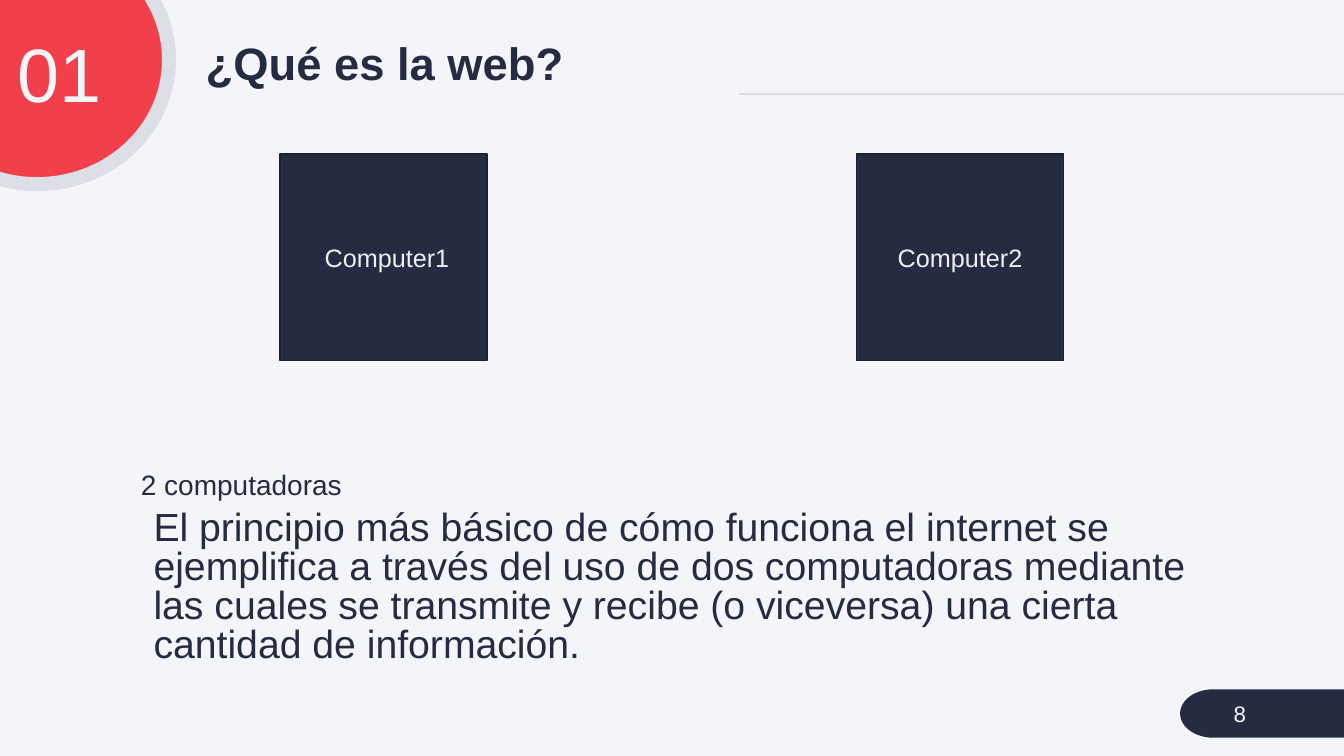
from collections import namedtuple

from lxml import etree
from pptx import Presentation
from pptx.dml.color import RGBColor
from pptx.enum.shapes import MSO_CONNECTOR, MSO_SHAPE
from pptx.enum.text import MSO_ANCHOR, MSO_AUTO_SIZE, PP_ALIGN
from pptx.oxml.ns import qn
from pptx.util import Cm, Pt

STRAIGHT = MSO_CONNECTOR.STRAIGHT
OVAL, SQUARE, PILL = MSO_SHAPE.OVAL, MSO_SHAPE.RECTANGLE, MSO_SHAPE.FLOWCHART_TERMINATOR
TOP, MIDDLE = MSO_ANCHOR.TOP, MSO_ANCHOR.MIDDLE
LEFT, CENTER, RIGHT = PP_ALIGN.LEFT, PP_ALIGN.CENTER, PP_ALIGN.RIGHT
NO_AUTOFIT = MSO_AUTO_SIZE.NONE
TITLE_ONLY = 5
FONT = "Arial"
COLORS = {
    "paper": "F4F5F9",
    "navy": "252C41",
    "edge": "1B202F",
    "red": "F1404B",
    "grey": "DDDFE6",
    "label": "EEEFF3",
}

# All measures are in centimetres.
Box = namedtuple("Box", "left top width height")


def color(name):
    """Return a named colour."""
    return RGBColor.from_string(COLORS[name])


def inside(box, left, top, width, height):
    """Return a box placed relative to the corner of another one."""
    return Box(box.left + left, box.top + top, width, height)


def lengths(box):
    """Convert a box to slide lengths."""
    return [Cm(value) for value in box]


def style_para(para, text, size, ink, align=LEFT, spacing=1.0, bold=False):
    """Fill and format one paragraph."""
    para.text = text
    para.alignment = align
    para.line_spacing = spacing
    para.font.name = FONT
    para.font.size = Pt(size)
    para.font.bold = bold
    para.font.color.rgb = color(ink)


def add_text_box(page, box, anchor=TOP):
    """Add an empty wrapping text box and return its frame."""
    frame = page.shapes.add_textbox(*lengths(box)).text_frame
    frame.word_wrap = True
    frame.vertical_anchor = anchor
    return frame


def add_filled(page, kind, box, fill, edge=None, weight=0):
    """Add a flat preset shape, with an outline if one is named."""
    shape = page.shapes.add_shape(kind, *lengths(box))
    shape.shadow.inherit = False
    shape.fill.solid()
    shape.fill.fore_color.rgb = color(fill)
    if edge:
        shape.line.color.rgb = color(edge)
        shape.line.width = Pt(weight)
    else:
        shape.line.fill.background()
    return shape


def add_header(page, box, number, heading):
    """Place the section badge, the title and the rule."""
    rule_left, rule_top = Cm(box.left + 18.62), Cm(box.top + 2.37)
    rule = page.shapes.add_connector(
        STRAIGHT, rule_left, rule_top, Cm(box.left + box.width), rule_top)
    rule.line.color.rgb = color("grey")
    rule.line.width = Pt(1.5)
    etree.SubElement(rule.element.spPr, qn("a:effectLst"))

    add_filled(page, OVAL, inside(box, -2.39, -1.63, 6.65, 6.27), "red", "grey", 10)
    badge = add_text_box(page, inside(box, -0.28, 0.81, 3.1, 2.34))
    style_para(badge.paragraphs[0], number, 54, "paper", RIGHT, 0.9)

    title = page.shapes.title
    title.left, title.top, title.width, title.height = lengths(
        inside(box, 4.93, 0.82, 13.69, 1.7))
    frame = title.text_frame
    frame.auto_size = NO_AUTOFIT
    frame.vertical_anchor = MIDDLE
    style_para(frame.paragraphs[0], heading, 32.4, "navy", LEFT, 0.9, True)


def add_computers(page, box, names):
    """Spread one square per computer across the box."""
    side = box.height
    step = (box.width - side) / (len(names) - 1)
    for index, name in enumerate(names):
        square = add_filled(
            page, SQUARE, inside(box, index * step, 0, side, side), "navy", "edge", 1)
        square.text_frame.vertical_anchor = MIDDLE
        style_para(square.text_frame.paragraphs[0], name, 18, "label", CENTER)


def add_explanation(page, box, lead, detail):
    """Write the lead line and the indented detail below it."""
    frame = add_text_box(page, box)
    style_para(frame.paragraphs[0], lead, 20, "navy", spacing=0.83)
    para = frame.add_paragraph()
    style_para(para, detail, 28, "navy", spacing=0.83)
    para.space_before = Pt(6)
    para._p.get_or_add_pPr().set("marL", str(Cm(0.32)))


def add_page_number(page, box, number):
    """Place the page number on its pill."""
    add_filled(page, PILL, box, "navy")
    frame = add_text_box(page, inside(box, 1.1, 0.1, 2.77, 1.02), MIDDLE)
    style_para(frame.paragraphs[0], number, 16, "paper")


deck = Presentation()
deck.slide_width, deck.slide_height = Cm(33.87), Cm(19.05)
page = deck.slides.add_slide(deck.slide_layouts[TITLE_ONLY])
page.background.fill.solid()
page.background.fill.fore_color.rgb = color("paper")

add_header(page, Box(0, 0, 33.87, 4.64), "01", "¿Qué es la web?")
add_computers(page, Box(7.06, 3.88, 19.74, 5.21), [" Computer1", "Computer2"])
add_explanation(
    page, Box(3.3, 11.81, 28.25, 5.4), "2 computadoras",
    "El principio más básico de cómo funciona el internet se ejemplifica a través "
    "del uso de dos computadoras mediante las cuales se transmite y recibe "
    "(o viceversa) una cierta cantidad de información.")
add_page_number(page, Box(29.74, 17.37, 5.21, 1.22), "8")
deck.save("out.pptx")
